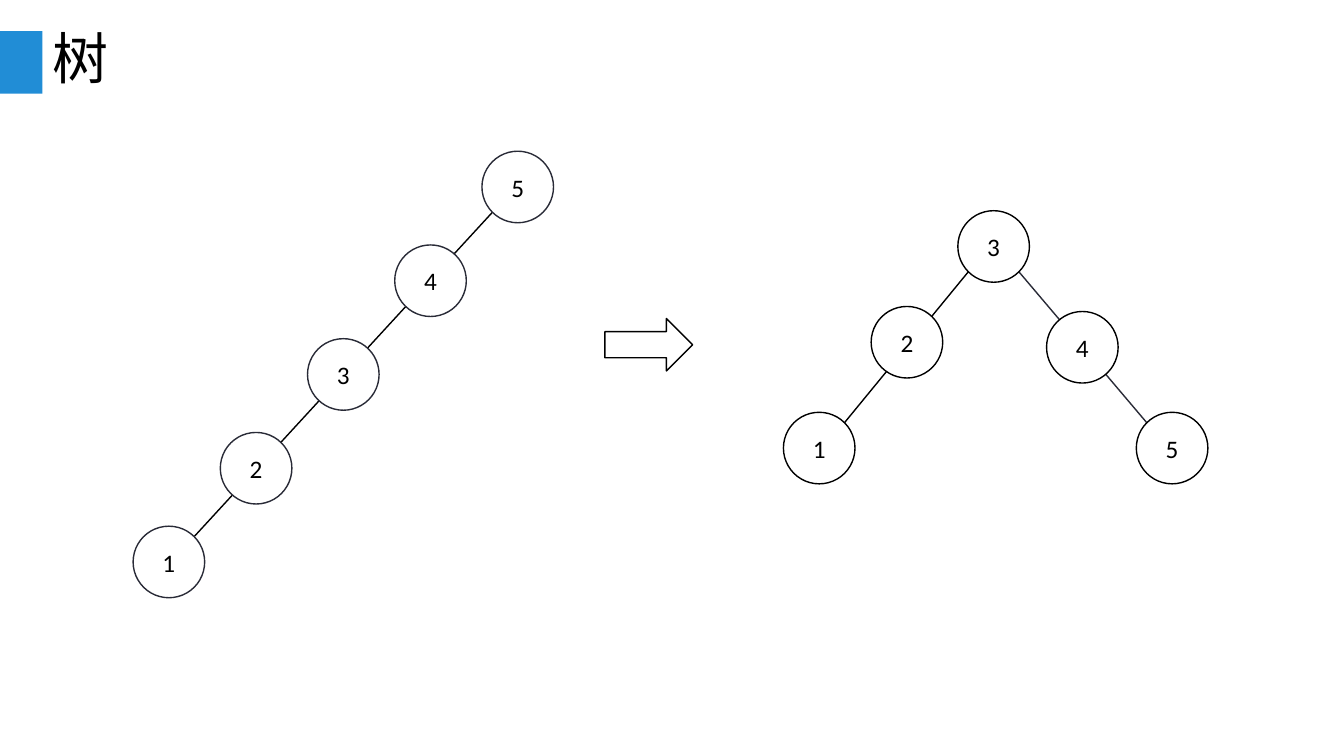
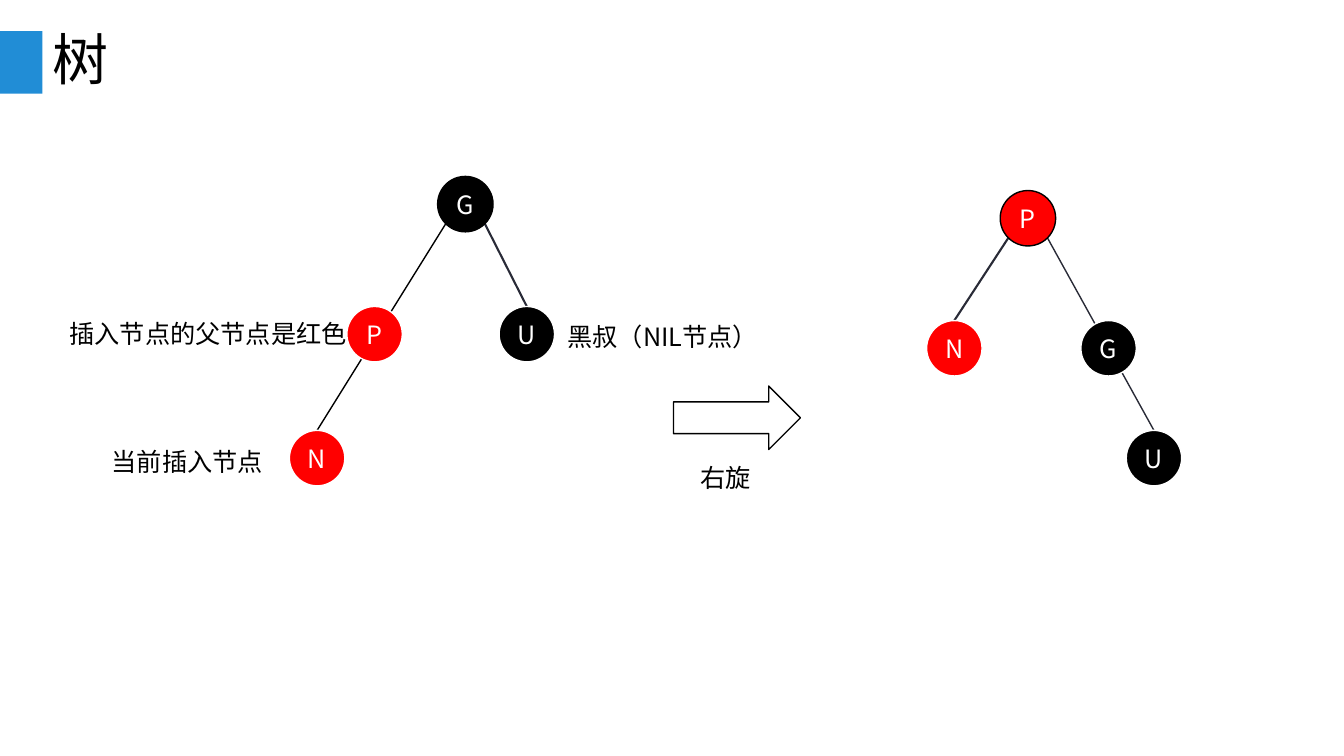
"""Build two slides on tree rotation."""
from dataclasses import dataclass

from lxml.etree import SubElement
from pptx import Presentation
from pptx.dml.color import RGBColor
from pptx.enum.shapes import MSO_CONNECTOR, MSO_SHAPE
from pptx.enum.text import MSO_ANCHOR, PP_ALIGN
from pptx.oxml.ns import qn
from pptx.util import Inches, Pt


@dataclass(frozen=True)
class Theme:
    """Colours, fonts and sizes shared by the slides."""
    black: str = "000000"
    white: str = "FFFFFF"
    red: str = "FF0000"
    slate: str = "292B37"
    band: str = "218DD6"
    cjk: str = "Noto Sans CJK SC"
    latin: str = "Calibri"
    title: int = 40
    body: int = 18
    thin: float = 1
    thick: float = 1.5


T = Theme()
TOP, BOTTOM_LEFT, BOTTOM_RIGHT = (0.5, 0), (0.15, 0.85), (0.85, 0.85)
TOP_LEFT, TOP_RIGHT = (0.15, 0.15), (0.85, 0.15)


def rgb(value):
    """Return a colour from its hex digits."""
    return RGBColor.from_string(value)


def box(at):
    """Convert left, top, width and height to lengths."""
    return [Inches(v) for v in at]


def write(tf, text, size=T.body, font=T.cjk, color=T.black):
    """Put one styled paragraph in a text frame and return it."""
    p = tf.paragraphs[0]
    p.add_run().text = text
    f = p.font
    f.size, f.name = Pt(size), font
    f.color.rgb = rgb(color)
    SubElement(f._element, qn("a:ea")).set("typeface", font)
    return p


def add_shape(s, kind, at, fill, line=None):
    """Add a flat preset shape."""
    sp = s.shapes.add_shape(kind, *box(at))
    sp.shadow.inherit = False
    sp.fill.solid()
    sp.fill.fore_color.rgb = rgb(fill)
    if line:
        sp.line.color.rgb = rgb(line)
        sp.line.width = Pt(T.thin)
    else:
        sp.line.fill.background()
    return sp


def add_arrow(s, at):
    """Add an outlined block arrow."""
    add_shape(s, MSO_SHAPE.RIGHT_ARROW, at, T.white, T.black)


def add_text(s, at, text, size=T.body):
    """Add a wrapping text box and return its frame and paragraph."""
    tf = s.shapes.add_textbox(*box(at)).text_frame
    tf.word_wrap = True
    return tf, write(tf, text, size)


def add_node(s, spot, size, label, fill, line, color, font=T.cjk):
    """Add a labelled circle."""
    sp = add_shape(s, MSO_SHAPE.OVAL, (*spot, size, size), fill, line)
    tf = sp.text_frame
    tf.word_wrap = False
    tf.vertical_anchor = MSO_ANCHOR.MIDDLE
    write(tf, label, font=font, color=color).alignment = PP_ALIGN.CENTER


def add_edge(s, size, start, start_site, end, end_site,
             color=T.black, width=T.thin):
    """Join sites on two circles, given as fractions of their size."""
    ends = [Inches(corner + size * part)
            for spot, site in ((start, start_site), (end, end_site))
            for corner, part in zip(spot, site)]
    c = s.shapes.add_connector(MSO_CONNECTOR.STRAIGHT, *ends)
    c.line.color.rgb = rgb(color)
    c.line.width = Pt(width)
    SubElement(c._element.spPr, qn("a:effectLst"))


def add_slide(prs, title, top):
    """Add a blank slide with the band and title."""
    s = prs.slides.add_slide(prs.slide_layouts[6])
    add_shape(s, MSO_SHAPE.RECTANGLE, (0, 0.31, 0.42, 0.62), T.band)
    tf, p = add_text(s, (0.42, top, 12.5, 0.64), title, T.title)
    tf.vertical_anchor = MSO_ANCHOR.MIDDLE
    p.line_spacing = 0.9
    return s


def build_balance(prs):
    """Show a chain becoming a balanced tree."""
    s = add_slide(prs, "树", 0.29)
    size = 0.71
    chain = {str(5 - i): (4.78 - 0.865 * i, 1.5 + 0.93 * i) for i in range(5)}
    tree = {"3": (9.5, 2.09), "4": (10.38, 3.09), "2": (8.64, 3.04),
            "1": (7.77, 4.09), "5": (11.27, 4.09)}
    add_edge(s, size, chain["5"], BOTTOM_LEFT, chain["1"], TOP_RIGHT)
    add_edge(s, size, tree["3"], BOTTOM_RIGHT, tree["5"], TOP_LEFT, T.slate)
    add_edge(s, size, tree["3"], BOTTOM_LEFT, tree["1"], TOP_RIGHT)
    for nodes, line in ((chain, T.slate), (tree, T.black)):
        for label, spot in nodes.items():
            add_node(s, spot, size, label, T.white, line, T.black, T.latin)
    add_arrow(s, (6, 3.16, 0.87, 0.52))


def build_rotation(prs):
    """Show a right rotation of a red-black tree."""
    s = add_slide(prs, "树", 0.3)
    size = 0.55
    fills = {"G": T.black, "U": T.black, "P": T.red, "N": T.red}
    before = {"G": (4.34, 1.75), "P": (3.44, 3.04),
              "N": (2.87, 4.27), "U": (4.95, 3.04)}
    after = {"P": (9.92, 1.89), "N": (9.19, 3.18),
             "G": (10.72, 3.18), "U": (11.17, 4.27)}
    add_edge(s, size, after["P"], BOTTOM_RIGHT, after["U"], TOP, T.slate)
    add_edge(s, size, before["G"], BOTTOM_LEFT, before["N"], TOP)
    add_edge(s, size, before["G"], BOTTOM_RIGHT, before["U"], TOP,
             T.slate, T.thick)
    add_edge(s, size, after["P"], BOTTOM_LEFT, after["N"], TOP,
             T.slate, T.thick)
    for nodes, root in ((before, "G"), (after, "P")):
        for label, spot in nodes.items():
            line = T.black if label == root else T.white
            add_node(s, spot, size, label, fills[label], line, T.white)
    add_arrow(s, (6.68, 3.83, 1.26, 0.63))
    for left, top, width, text in (
            (1.01, 4.38, 1.72, "当前插入节点"),
            (0.59, 3.11, 2.98, "插入节点的父节点是红色"),
            (5.53, 3.14, 2.12, "黑叔（NIL节点）"),
            (6.85, 4.54, 0.71, "右旋")):
        add_text(s, (left, top, width, 0.4), text)


def main():
    """Build and save the presentation."""
    prs = Presentation()
    prs.slide_width, prs.slide_height = Inches(13.33), Inches(7.5)
    build_balance(prs)
    build_rotation(prs)
    prs.save("out.pptx")


main()
